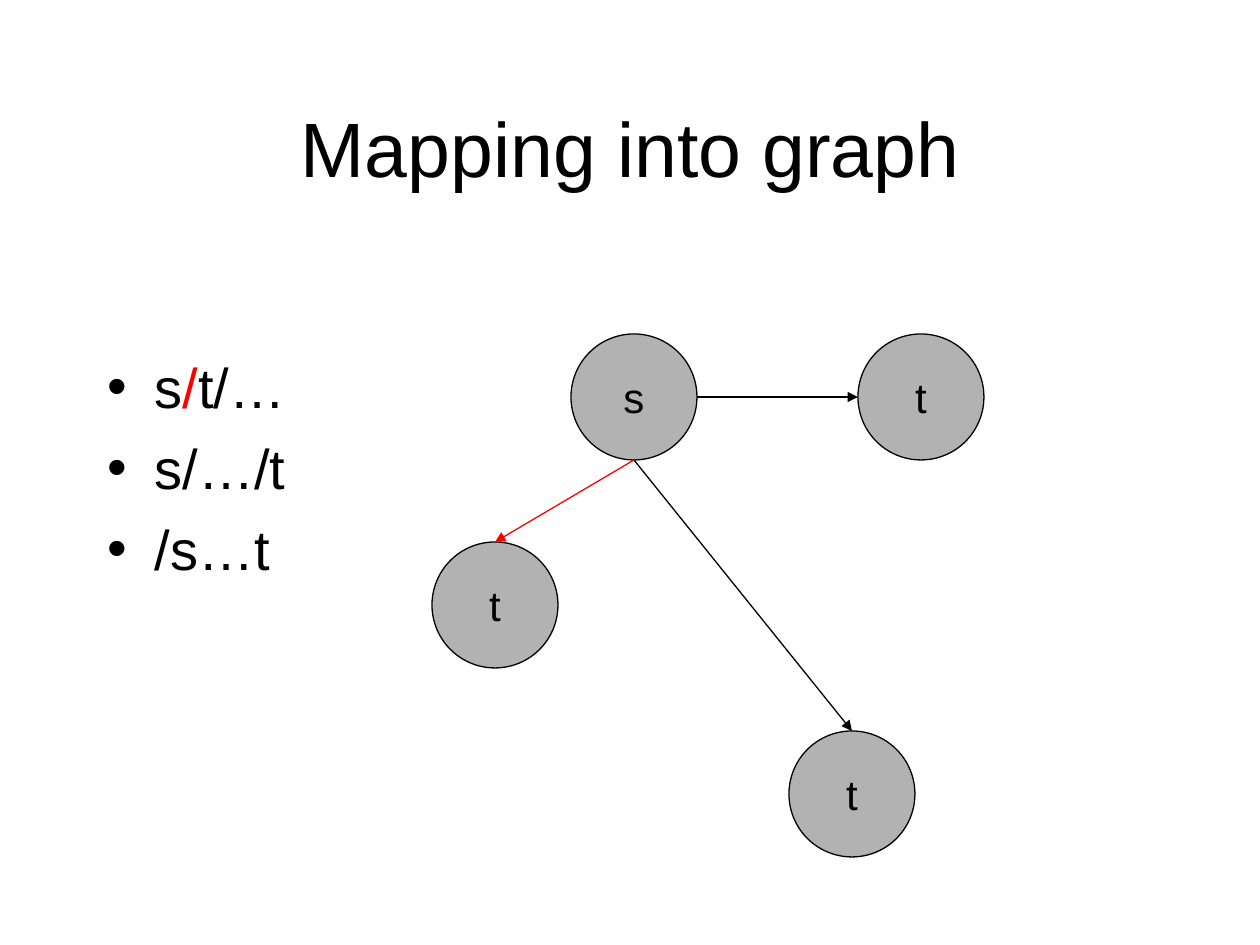
from lxml import etree
from pptx import Presentation
from pptx.dml.color import RGBColor
from pptx.enum.shapes import MSO_CONNECTOR, MSO_SHAPE
from pptx.enum.text import MSO_ANCHOR, MSO_AUTO_SIZE, PP_ALIGN
from pptx.oxml.ns import qn
from pptx.util import Emu, Pt

BLACK = RGBColor(0, 0, 0)
RED = RGBColor(255, 0, 0)
GRAY = RGBColor(0xB2, 0xB2, 0xB2)
OVAL, LINE = MSO_SHAPE.OVAL, MSO_CONNECTOR.STRAIGHT
MID, CENTER, FIXED = MSO_ANCHOR.MIDDLE, PP_ALIGN.CENTER, MSO_AUTO_SIZE.NONE

# Content
TITLE = "Mapping into graph"
PATHS = [
    [("s", BLACK), ("/", RED), ("t/…", BLACK)],
    [("s/…/t", BLACK)],
    [("/s…t", BLACK)],
]
NODES = {  # name: (label, left, top)
    "source": ("s", 571, 334),
    "far": ("t", 789, 731),
    "child": ("t", 432, 542),
    "next": ("t", 858, 334),
}
EDGES = [  # from node, side, to node, side, colour
    ("source", "bottom", "far", "top", BLACK),
    ("source", "bottom", "child", "top", RED),
    ("source", "right", "next", "left", BLACK),
]

# Layout in px
SIZE = 126
SIDES = {"top": (0.5, 0), "bottom": (0.5, 1), "left": (0, 0.5), "right": (1, 0.5)}
TITLE_BOX = (95, 73, 1071, 147)
LIST_BOX = (95, 346, 1071, 494)


def px(n):
    return Emu(round(n * 914400 / 126))


def style(font, size, color=BLACK):
    for key, val in {"name": "Arial", "size": Pt(size)}.items():
        setattr(font, key, val)
    font.color.rgb = color


def place(shape, box):
    for key, val in zip(("left", "top", "width", "height"), box):
        setattr(shape, key, px(val))
    shape.text_frame.auto_size = FIXED


def port(name, side):
    _, left, top = NODES[name]
    dx, dy = SIDES[side]
    return px(left + dx * SIZE), px(top + dy * SIZE)


prs = Presentation()
prs.slide_width, prs.slide_height = px(1260), px(945)
slide = prs.slides.add_slide(prs.slide_layouts[1])
title, body = slide.placeholders

# Title
place(title, TITLE_BOX)
title.text_frame.text = TITLE
style(title.text_frame.paragraphs[0].font, 44)

# Path list
place(body, LIST_BOX)
frame = body.text_frame
for i, parts in enumerate(PATHS):
    para = frame.add_paragraph() if i else frame.paragraphs[0]
    para.space_before = Pt(8 if i else 0)
    for text, color in parts:
        run = para.add_run()
        run.text = text
        style(run.font, 32, color)

# Nodes
for label, left, top in NODES.values():
    node = slide.shapes.add_shape(OVAL, px(left), px(top), px(SIZE), px(SIZE))
    node.shadow.inherit = False
    node.fill.solid()
    node.fill.fore_color.rgb = GRAY
    node.line.color.rgb = BLACK
    node.line.width = Pt(0.75)
    frame = node.text_frame
    for key, val in {"text": label, "word_wrap": False, "vertical_anchor": MID}.items():
        setattr(frame, key, val)
    para = frame.paragraphs[0]
    para.alignment = CENTER
    style(para.font, 24)

# Arrows
for start, out, end, into, color in EDGES:
    edge = slide.shapes.add_connector(LINE, *port(start, out), *port(end, into))
    edge.line.color.rgb = color
    edge.line.width = Pt(0.75)
    props = edge._element.spPr
    etree.SubElement(props.find(qn("a:ln")), qn("a:tailEnd"), type="triangle")
    etree.SubElement(props, qn("a:effectLst"))

prs.save("out.pptx")
